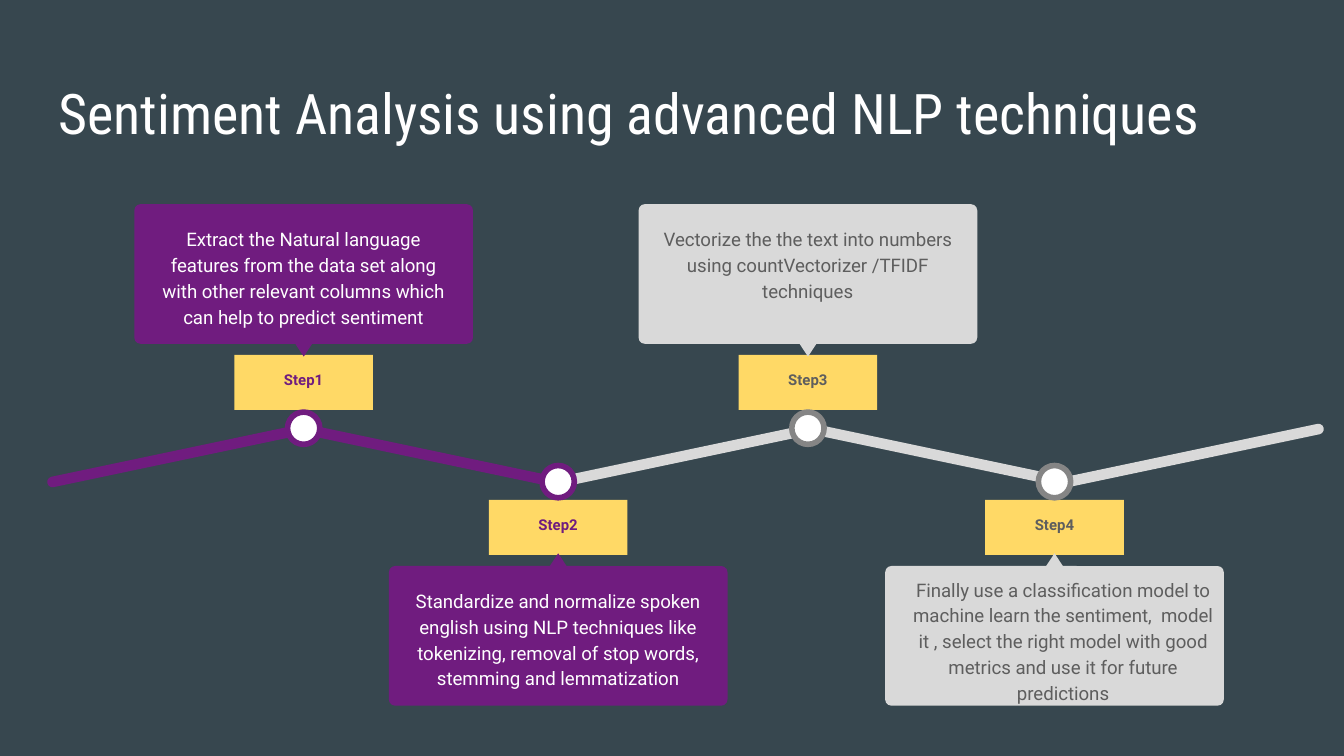
from dataclasses import dataclass

from pptx import Presentation
from pptx import util as u
from pptx.dml import color
from pptx.enum import shapes, text

Cm = u.Cm
KIND = shapes.MSO_SHAPE


@dataclass(frozen=True)
class Theme:
    back: str = "37474F"
    white: str = "FFFFFF"
    purple: str = "701C7F"
    light: str = "D9D9D9"
    mid: str = "858585"
    dark: str = "5E5E5E"
    gold: str = "FFD966"
    head: str = "Roboto Condensed"
    body: str = "Roboto"
    title: int = 30
    copy: int = 10
    tag: int = 8


@dataclass(frozen=True)
class Look:
    fill: str
    ring: str
    copy: str
    tag: str


T = Theme()
DONE = Look(T.purple, T.purple, T.white, T.purple)
NEXT = Look(T.light, T.mid, T.dark, T.dark)

# Sizes in cm
CARD_W, CARD_H = 6.4, 2.64
TAG_W, TAG_H = 2.62, 1.04
TIP_W, TIP_H = 0.33, 0.25
DOT = 0.61
STEP_H = 4.55
BAR_W, BAR_H, BAR_Y, TILT = 5.05, 0.2, 8.51, 11.9
UP_Y, DOWN_Y = 3.85, 8.8

# Centre, look, text box (dx, dy, width) within the card, wording
PAD = (0.16, 0.14, 6.07)
STEPS = [
    (5.74, DONE, PAD, "Extract the Natural language features from the data set "
     "along with other relevant columns which can help to predict sentiment"),
    (10.55, DONE, PAD, "Standardize and normalize spoken english using NLP "
     "techniques like tokenizing, removal of stop words, stemming and "
     "lemmatization"),
    (15.27, NEXT, PAD, "Vectorize the the text into numbers using "
     "countVectorizer /TFIDF techniques"),
    (19.93, NEXT, (0.16, -0.08, 6.4), "Finally use a classification model to "
     "machine learn the sentiment,  model it , select the right model with "
     "good metrics and use it for future predictions"),
]
BARS = [(0.84, DONE), (5.59, DONE), (10.44, NEXT), (15.21, NEXT), (20.02, NEXT)]


def rgb(code):
    return color.RGBColor.from_string(code)


def draw(page, kind, box, fill, ring=None):
    """Add a flat preset shape, with an outline if ring is given."""
    item = page.shapes.add_shape(kind, *map(Cm, box))
    item.shadow.inherit = False
    item.fill.solid()
    item.fill.fore_color.rgb = rgb(fill)
    if ring:
        item.line.color.rgb = rgb(ring)
        item.line.width = u.Pt(3)
    else:
        item.line.fill.background()
    return item


def write(item, words, font, size, ink, bold=False, center=True):
    """Set one paragraph of text in a shape."""
    frame = item.text_frame
    frame.word_wrap = True
    frame.auto_size = text.MSO_AUTO_SIZE.NONE
    frame.vertical_anchor = text.MSO_ANCHOR.TOP
    frame.margin_left = frame.margin_right = Cm(0.25)
    frame.margin_top = frame.margin_bottom = Cm(0.25)
    para = frame.paragraphs[0]
    para.alignment = text.PP_ALIGN.LEFT
    if center:
        para.alignment = text.PP_ALIGN.CENTER
        para.line_spacing = 1.15
        para.space_after = u.Pt(16)
    run = para.add_run()
    run.text = words
    run.font.name = font
    run.font.size = u.Pt(size)
    run.font.bold = bold
    run.font.color.rgb = rgb(ink)


def add_title(page, box):
    item = page.shapes.add_textbox(*map(Cm, box))
    write(item, "Sentiment Analysis using advanced NLP techniques",
          T.head, T.title, T.white, center=False)


def add_bar(page, box, look, tilt):
    bar = draw(page, KIND.ROUNDED_RECTANGLE, box, look.fill)
    bar.adjustments[0] = 0.5
    bar.rotation = tilt


def add_step(page, box, look, name, words, pad, above):
    """Stack dot, tag, tip and card outward from the path."""
    left, top, wide, high = box

    def place(gap, w, h):
        y = top + high - gap - h if above else top + gap
        return left + (wide - w) / 2, y, w, h

    # Card and its wording
    spot = place(1.9, CARD_W, CARD_H)
    card = draw(page, KIND.ROUNDED_RECTANGLE, spot, look.fill)
    card.adjustments[0] = 0.045
    dx, dy, width = pad
    area = (spot[0] + dx, spot[1] + dy, width, 2.34)
    note = page.shapes.add_textbox(*map(Cm, area))
    write(note, words, T.body, T.copy, look.copy)

    # Tag, tip and dot
    tag = draw(page, KIND.RECTANGLE, place(0.65, TAG_W, TAG_H), T.gold)
    write(tag, name, T.body, T.tag, look.tag, bold=True)
    tip = draw(page, KIND.ISOSCELES_TRIANGLE, place(1.66, TIP_W, TIP_H),
               look.fill)
    tip.rotation = 180 if above else 0
    draw(page, KIND.OVAL, place(0, DOT, DOT), T.white, look.ring)


def add_path(page):
    """Draw from right to left, so that earlier steps lie on top."""
    for i in reversed(range(len(BARS))):
        left, look = BARS[i]
        rising = i % 2 == 0
        add_bar(page, (left, BAR_Y, BAR_W, BAR_H), look,
                -TILT if rising else TILT)
        if i < len(STEPS):
            mid, look, pad, words = STEPS[i]
            box = (mid - CARD_W / 2, UP_Y if rising else DOWN_Y,
                   CARD_W, STEP_H)
            add_step(page, box, look, f"Step{i + 1}", words, pad, rising)


def main():
    deck = Presentation()
    deck.slide_width, deck.slide_height = Cm(25.4), Cm(14.29)
    page = deck.slides.add_slide(deck.slide_layouts[6])
    page.background.fill.solid()
    page.background.fill.fore_color.rgb = rgb(T.back)
    add_title(page, (0.86, 1.24, 23.67, 1.6))
    add_path(page)
    deck.save("out.pptx")


if __name__ == "__main__":
    main()
